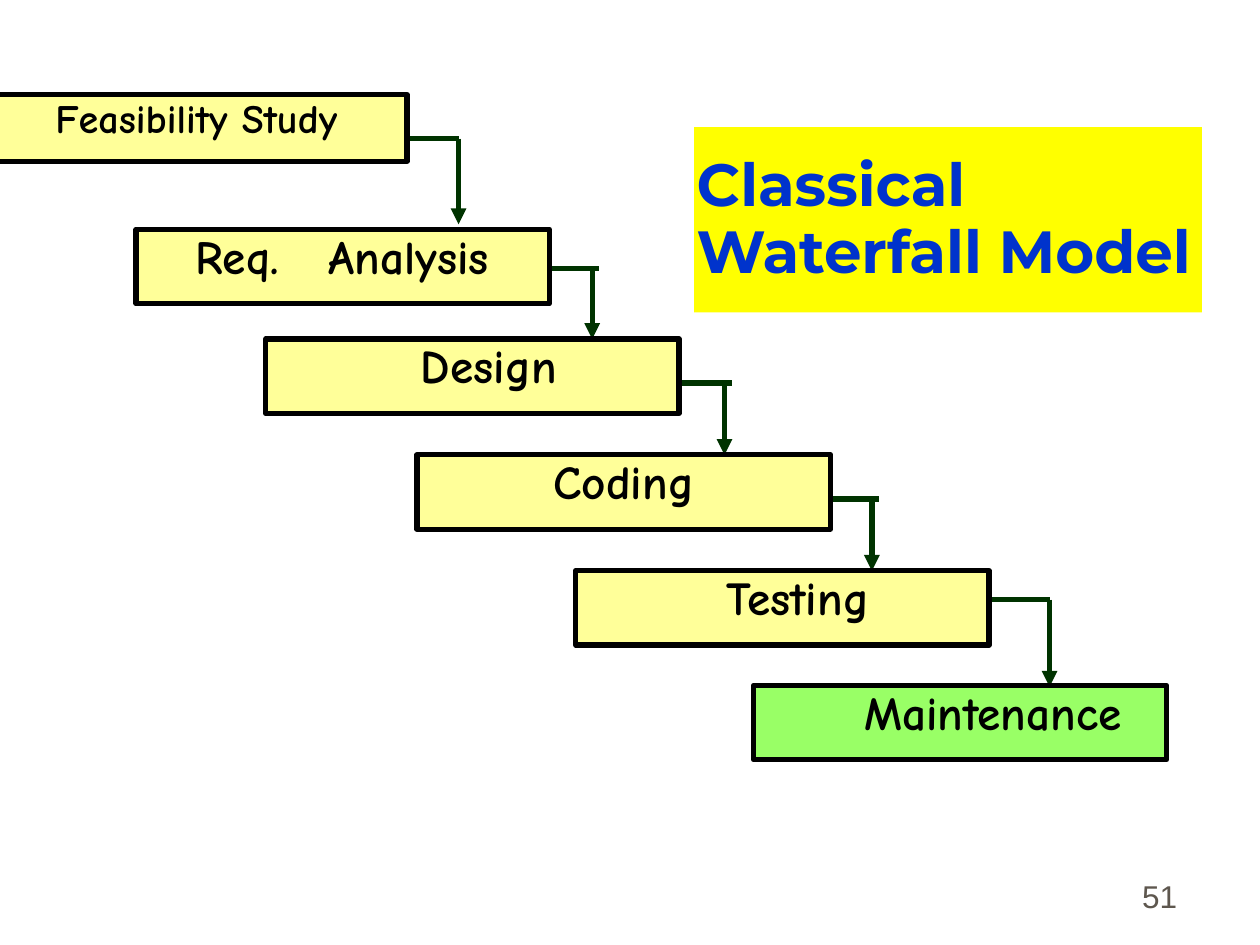
from pptx import Presentation
from pptx.dml.color import RGBColor as RGB
from pptx.enum.shapes import MSO_CONNECTOR as Conn, MSO_SHAPE as Shape
from pptx.enum.text import MSO_ANCHOR as Anchor, PP_ALIGN as Align
from pptx.oxml.ns import qn
from pptx.util import Inches, Pt
from lxml.etree import SubElement as Sub

# Content: text, left, top, width, height, left text inset, type size
W, H, PAD = 3.28, 0.59, 0.02
TITLE = "Classical Waterfall Model"
PAGE = "51"
STEPS = [
    ("Feasibility Study", -0.11, 0.75, 3.34, 0.53, PAD, 23),
    ("Req.\tAnalysis", 1.08, 1.82, W, H, 0.47, 27),
    ("Design", 2.11, 2.69, W, H, 0.28, 27),
    ("Coding", 3.31, 3.61, W, H, PAD, 27),
    ("Testing", 4.57, 4.53, W, H, 0.26, 27),
    ("Maintenance", 5.98, 5.44, W, H, 0.54, 27),
]
TAB = 1.06  # start of the second word after a tab

# Bends between steps: start x, y, end of the flat part, x and foot of the drop
BENDS = [
    (3.23, 1.10, 3.64, 3.64, 1.78),
    (4.34, 2.13, 4.75, 4.70, 2.69),
    (5.40, 3.04, 5.81, 5.75, 3.61),
    (6.57, 3.96, 6.98, 6.92, 4.53),
    (7.86, 4.76, 8.33, 8.33, 5.45),
]

THEME = {
    "step": "FFFF99", "last": "99FF66", "edge": "000000", "ink": "000000",
    "arrow": "003300", "band": "FFFF00", "title": "0033CC", "page": "5E574E",
    "step_font": "Comic Neue", "title_font": "Montserrat", "page_font": "Arial",
    "title_size": 34, "page_size": 18, "line": 3,
}


def color(key):
    return RGB.from_string(THEME[key])


def write(shape, text, font, size, ink, align, anchor, bold=True,
          space=1.0, pads=(PAD, 0.05, PAD, 0.05)):
    frame = shape.text_frame
    frame.word_wrap = True
    frame.vertical_anchor = anchor
    (frame.margin_left, frame.margin_top,
     frame.margin_right, frame.margin_bottom) = map(Inches, pads)
    para = frame.paragraphs[0]
    para.alignment = align
    para.line_spacing = space
    if "\t" in text:
        tabs = Sub(para._p.get_or_add_pPr(), qn("a:tabLst"))
        Sub(tabs, qn("a:tab"), pos=str(Inches(TAB)), algn="l")
    run = para.add_run()
    run.text = text
    run.font.name = THEME[font]
    run.font.size = Pt(size)
    run.font.bold = bold
    run.font.color.rgb = color(ink)


def box(slide, place, fill, edge=None):
    shape = slide.shapes.add_shape(Shape.RECTANGLE, *map(Inches, place))
    shape.shadow.inherit = False
    shape.fill.solid()
    shape.fill.fore_color.rgb = color(fill)
    if edge:
        shape.line.color.rgb = color(edge)
        shape.line.width = Pt(THEME["line"])
    else:
        shape.line.fill.background()
    return shape


def line(slide, ends, head=False):
    link = slide.shapes.add_connector(Conn.STRAIGHT, *map(Inches, ends))
    link.line.color.rgb = color("arrow")
    link.line.width = Pt(THEME["line"])
    if head:
        Sub(link.line._get_or_add_ln(), qn("a:tailEnd"), type="triangle")
    Sub(link._element.spPr, qn("a:effectLst"))


def main():
    deck = Presentation()
    deck.slide_width, deck.slide_height = Inches(10), Inches(7.5)
    slide = deck.slides.add_slide(deck.slide_layouts[6])

    # Title band
    band = box(slide, (5.51, 1.01, 4.03, 1.47), "band")
    write(band, TITLE, "title_font", THEME["title_size"], "title",
          Align.LEFT, Anchor.MIDDLE, space=0.94)

    # Bends, then the steps over them
    for x, y, end, drop, foot in BENDS:
        line(slide, (x, y, end, y))
        line(slide, (drop, y, drop, foot), head=True)
    for text, x, y, w, h, left, size in STEPS:
        fill = "last" if text == STEPS[-1][0] else "step"
        step = box(slide, (x, y, w, h), fill, "edge")
        align = Align.LEFT if "\t" in text else Align.CENTER
        write(step, text, "step_font", size, "ink", align, Anchor.TOP,
              space=0.85, pads=(left, 0.05, PAD, 0.05))

    # Page number
    page = slide.shapes.add_textbox(*map(Inches, (7.36, 6.81, 2.08, 0.5)))
    write(page, PAGE, "page_font", THEME["page_size"], "page", Align.RIGHT,
          Anchor.BOTTOM, bold=False, pads=(0.1, 0.05, 0.1, 0.05))

    deck.save("out.pptx")


if __name__ == "__main__":
    main()
